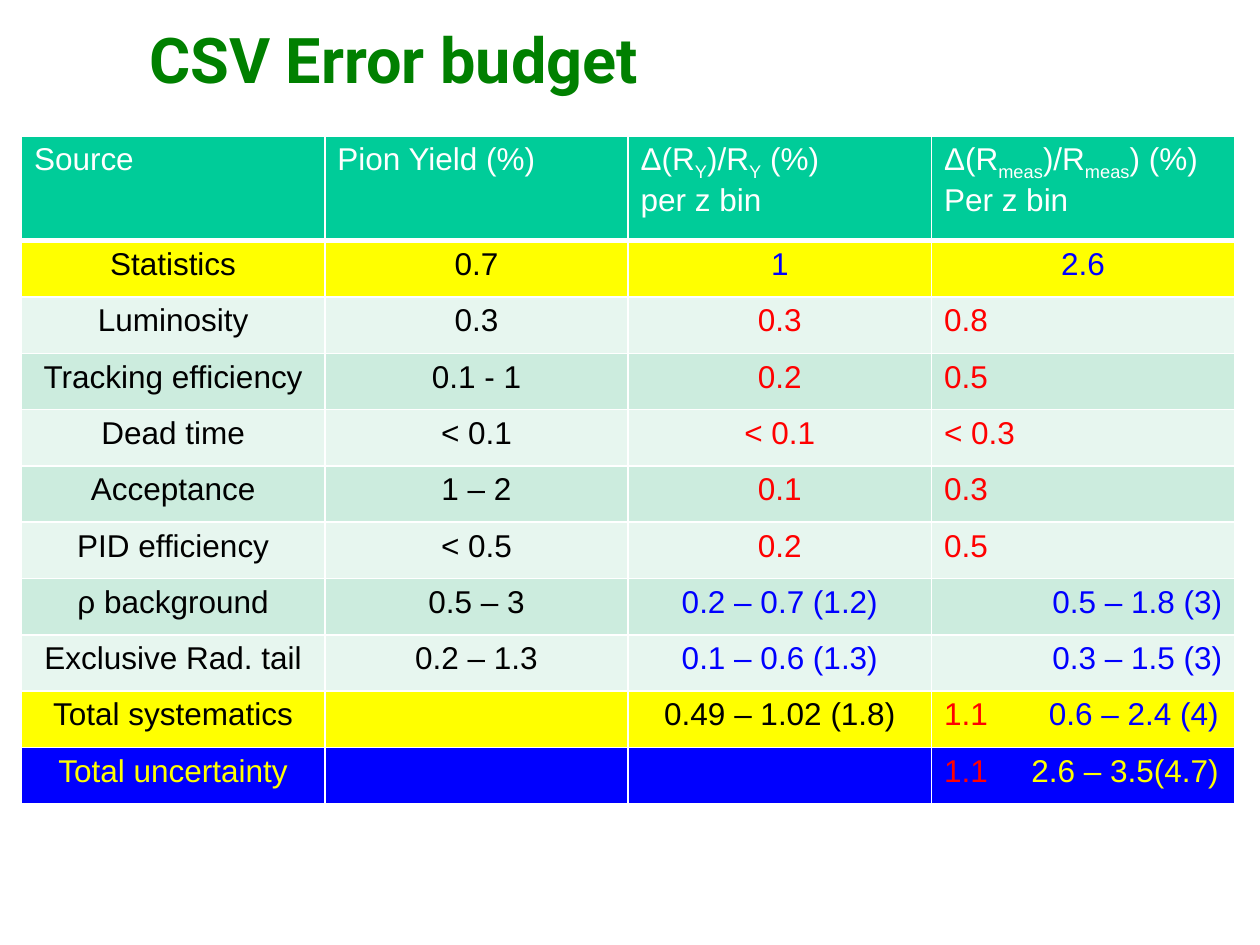
from pptx import Presentation
from pptx.dml.color import RGBColor
from pptx.enum.text import MSO_ANCHOR, PP_ALIGN
from pptx.oxml.ns import qn
from pptx.util import Inches, Pt
from lxml.etree import SubElement

THEME = {
    "green": "008000", "teal": "00CC99", "mint": "CCECDE", "pale": "E7F6EF",
    "yellow": "FFFF00", "blue": "0000FF", "red": "FF0000",
    "black": "000000", "white": "FFFFFF",
    "title_font": "Roboto", "table_font": "Arial",
    "title_size": 36, "table_size": 18, "subscript": "-25000",
}

TITLE = "CSV Error budget"

HEADERS = [
    [["Source"]],
    [["Pion Yield (%)"]],
    [["Δ(R", "Y", ")/R", "Y", " (%)"], ["per z bin"]],
    [["Δ(R", "meas", ")/R", "meas", ") (%)"], ["Per z bin"]],
]

L, C, R = PP_ALIGN.LEFT, PP_ALIGN.CENTER, PP_ALIGN.RIGHT
SOURCES = [
    ("Statistics", "0.7", "1", "2.6", "yellow", "blue", C),
    ("Luminosity", "0.3", "0.3", "0.8", "pale", "red", L),
    ("Tracking efficiency", "0.1 - 1", "0.2", "0.5", "mint", "red", L),
    ("Dead time", "< 0.1", "< 0.1", "< 0.3", "pale", "red", L),
    ("Acceptance", "1 – 2", "0.1", "0.3", "mint", "red", L),
    ("PID efficiency", "< 0.5", "0.2", "0.5", "pale", "red", L),
    ("ρ background", "0.5 – 3", "0.2 – 0.7 (1.2)", "0.5 – 1.8 (3)", "mint", "blue", R),
    ("Exclusive Rad. tail", "0.2 – 1.3", "0.1 – 0.6 (1.3)", "0.3 – 1.5 (3)", "pale", "blue", R),
]

TOTALS = [
    ("Total systematics", "0.49 – 1.02 (1.8)", "1.1", "0.6 – 2.4 (4)", "yellow", "black", "blue"),
    ("Total uncertainty", "", "1.1", "2.6 – 3.5(4.7)", "blue", "yellow", "yellow"),
]

TABLE_LEFT, TABLE_TOP, TABLE_WIDTH, TABLE_HEIGHT = 0.17, 1.08, 9.63, 5.3
HEADER_HEIGHT = 0.83
TAB_STOP = 2.18


def rgb(name):
    return RGBColor.from_string(THEME[name])


def style_cell(cell, fill, bottom=1):
    tcPr = cell._tc.get_or_add_tcPr()
    for side, width in (("L", 1), ("R", 1), ("T", 1), ("B", bottom)):
        ln = SubElement(tcPr, qn(f"a:ln{side}"), w=str(Pt(width)))
        color = SubElement(ln, qn("a:solidFill"))
        SubElement(color, qn("a:srgbClr"), val=THEME["white"])
    cell.fill.solid()
    cell.fill.fore_color.rgb = rgb(fill)


def style_paragraph(p, align, color):
    p.alignment = align
    p.font.name = THEME["table_font"]
    p.font.size = Pt(THEME["table_size"])
    p.font.bold = False
    p.font.color.rgb = rgb(color)


def write_cell(cell, text, color, align=C):
    p = cell.text_frame.paragraphs[0]
    if text:
        p.add_run().text = text
    style_paragraph(p, align, color)


def write_header(cell, lines):
    tf = cell.text_frame
    for i, parts in enumerate(lines):
        p = tf.add_paragraph() if i else tf.paragraphs[0]
        for j, part in enumerate(parts):
            r = p.add_run()
            r.text = part
            if j % 2:
                r.font._element.set("baseline", THEME["subscript"])
        style_paragraph(p, L, "white")


def write_total(cell, scale, span, color):
    p = cell.text_frame.paragraphs[0]
    tabs = SubElement(p._p.get_or_add_pPr(), qn("a:tabLst"))
    SubElement(tabs, qn("a:tab"), pos=str(Inches(TAB_STOP)), algn="r")
    for text, name in ((scale + "\t", "red"), (span, color)):
        r = p.add_run()
        r.text = text
        r.font.color.rgb = rgb(name)
    style_paragraph(p, L, color)


def add_title(s):
    sp = s.shapes.title
    sp.left, sp.top, sp.width, sp.height = map(Inches, (0.25, 0.08, 5.75, 0.83))
    tf = sp.text_frame
    tf.word_wrap = True
    tf.vertical_anchor = MSO_ANCHOR.MIDDLE
    tf.margin_left = tf.margin_right = tf.margin_top = tf.margin_bottom = 0
    tf.text = TITLE
    p = tf.paragraphs[0]
    p.alignment = C
    p.line_spacing = 0.93
    p.font.name = THEME["title_font"]
    p.font.size = Pt(THEME["title_size"])
    p.font.bold = True
    p.font.color.rgb = rgb("green")


def add_budget(s):
    body_count = len(SOURCES) + len(TOTALS)
    table = s.shapes.add_table(
        body_count + 1, len(HEADERS),
        *map(Inches, (TABLE_LEFT, TABLE_TOP, TABLE_WIDTH, TABLE_HEIGHT))).table
    for col in table.columns:
        col.width = Inches(TABLE_WIDTH / len(HEADERS))
    for i, row in enumerate(table.rows):
        row.height = Inches((TABLE_HEIGHT - HEADER_HEIGHT) / body_count if i else HEADER_HEIGHT)

    fills = ["teal"] + [row[4] for row in SOURCES + TOTALS]
    for i, (row, fill) in enumerate(zip(table.rows, fills)):
        for cell in row.cells:
            style_cell(cell, fill, bottom=1 if i else 3)

    for cell, lines in zip(table.rows[0].cells, HEADERS):
        write_header(cell, lines)
    for i, (*texts, fill, color, align) in enumerate(SOURCES, 1):
        colors = ("black", "black", color, color)
        for cell, text, name, side in zip(table.rows[i].cells, texts, colors, (C, C, C, align)):
            write_cell(cell, text, name, side)
    for i, (label, ratio, scale, span, fill, color, accent) in enumerate(TOTALS, len(SOURCES) + 1):
        for j, text in enumerate((label, "", ratio)):
            write_cell(table.cell(i, j), text, color)
        write_total(table.cell(i, 3), scale, span, accent)


def main():
    prs = Presentation()
    prs.slide_width, prs.slide_height = Inches(10), Inches(7.5)
    s = prs.slides.add_slide(prs.slide_layouts[5])
    add_title(s)
    add_budget(s)
    prs.save("out.pptx")


if __name__ == "__main__":
    main()
